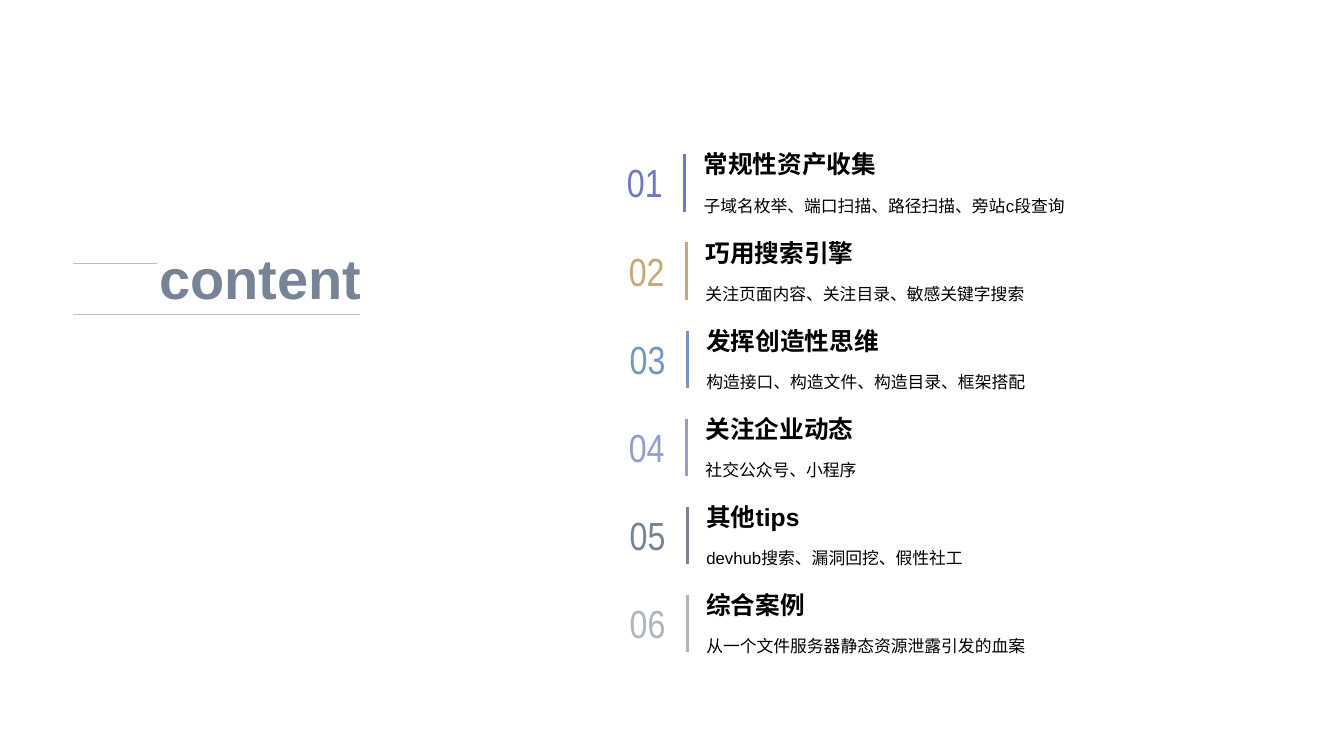
from lxml import etree
from pptx import Presentation
from pptx.dml.color import RGBColor
from pptx.enum.shapes import MSO_CONNECTOR
from pptx.enum.text import MSO_ANCHOR, PP_ALIGN
from pptx.oxml.ns import qn
from pptx.util import Cm, Pt

STRAIGHT = MSO_CONNECTOR.STRAIGHT
TOP, MIDDLE, BOTTOM = MSO_ANCHOR.TOP, MSO_ANCHOR.MIDDLE, MSO_ANCHOR.BOTTOM
LEFT, CENTER = PP_ALIGN.LEFT, PP_ALIGN.CENTER

BLACK = RGBColor(0x00, 0x00, 0x00)
RULE_GRAY = RGBColor(0xBF, 0xBF, 0xBF)
INDIGO = RGBColor(0x72, 0x77, 0xC5)
GOLD = RGBColor(0xC5, 0xA8, 0x73)
BLUE = RGBColor(0x73, 0x96, 0xC5)
LAVENDER = RGBColor(0x96, 0x9C, 0xD0)
SLATE = RGBColor(0x77, 0x84, 0x95)
SILVER = RGBColor(0xAD, 0xB5, 0xBF)

FIRST_ROW_TOP = 3.89
ROW_PITCH = 2.22
BAR_HEIGHT = 1.44

# Title, details, colour, indent of the row in cm
SECTIONS = [
    ("常规性资产收集", "子域名枚举、端口扫描、路径扫描、旁站c段查询", INDIGO, 0),
    ("巧用搜索引擎", "关注页面内容、关注目录、敏感关键字搜索", GOLD, 0.05),
    ("发挥创造性思维", "构造接口、构造文件、构造目录、框架搭配", BLUE, 0.07),
    ("关注企业动态", "社交公众号、小程序", LAVENDER, 0.05),
    ("其他tips", "devhub搜索、漏洞回挖、假性社工", SLATE, 0.07),
    ("综合案例", "从一个文件服务器静态资源泄露引发的血案", SILVER, 0.07),
]


def add_line(slide, x1, y1, x2, y2, color, width):
    line = slide.shapes.add_connector(STRAIGHT, Cm(x1), Cm(y1), Cm(x2), Cm(y2))
    line.line.color.rgb = color
    line.line.width = Pt(width)
    etree.SubElement(line._element.spPr, qn("a:effectLst"))


def add_text(slide, text, box, size, color, anchor, spacing=1.0, bold=False,
             wrap=False, align=LEFT, font_name="Arial", margins=(0.25, 0.13)):
    """Add one line of text; box is left, top, width, height in cm."""
    shape = slide.shapes.add_textbox(*[Cm(length) for length in box])
    frame = shape.text_frame
    frame.word_wrap = wrap
    frame.vertical_anchor = anchor
    frame.margin_left = frame.margin_right = Cm(margins[0])
    frame.margin_top = frame.margin_bottom = Cm(margins[1])
    paragraph = frame.paragraphs[0]
    paragraph.alignment = align
    paragraph.line_spacing = spacing
    run = paragraph.add_run()
    run.text = text
    run.font.name = font_name
    run.font.size = Pt(size)
    run.font.bold = bold
    run.font.color.rgb = color


presentation = Presentation()
presentation.slide_width = Cm(33.87)
presentation.slide_height = Cm(19.05)
slide = presentation.slides.add_slide(presentation.slide_layouts[6])

# Heading between two thin rules
add_line(slide, 3.96, 6.63, 1.85, 6.63, RULE_GRAY, 0.5)
add_line(slide, 1.85, 7.92, 9.07, 7.92, RULE_GRAY, 0.5)
add_text(slide, "content", (3.76, 6.17, 5.84, 1.83), 40, SLATE, MIDDLE,
         spacing=0.9, bold=True)

# Numbered sections
for index, (title, details, color, indent) in enumerate(SECTIONS):
    top = FIRST_ROW_TOP + index * ROW_PITCH
    bar_left = 17.25 + indent
    text_left = 17.48 + indent
    add_text(slide, f"{index + 1:02}", (15.6 + indent, top + 0.07, 1.3, 1.27),
             28, color, MIDDLE, align=CENTER, font_name="Arial Narrow",
             margins=(0, 0))
    add_line(slide, bar_left, top, bar_left, top + BAR_HEIGHT, color, 2.25)
    add_text(slide, details, (text_left, top + 0.76, 10.03, 0.89), 12, BLACK,
             TOP, spacing=1.3, wrap=True)
    add_text(slide, title, (text_left, top - 0.21, 10.03, 0.97), 17.6, BLACK,
             BOTTOM, spacing=0.9, bold=True)

presentation.save("out.pptx")
